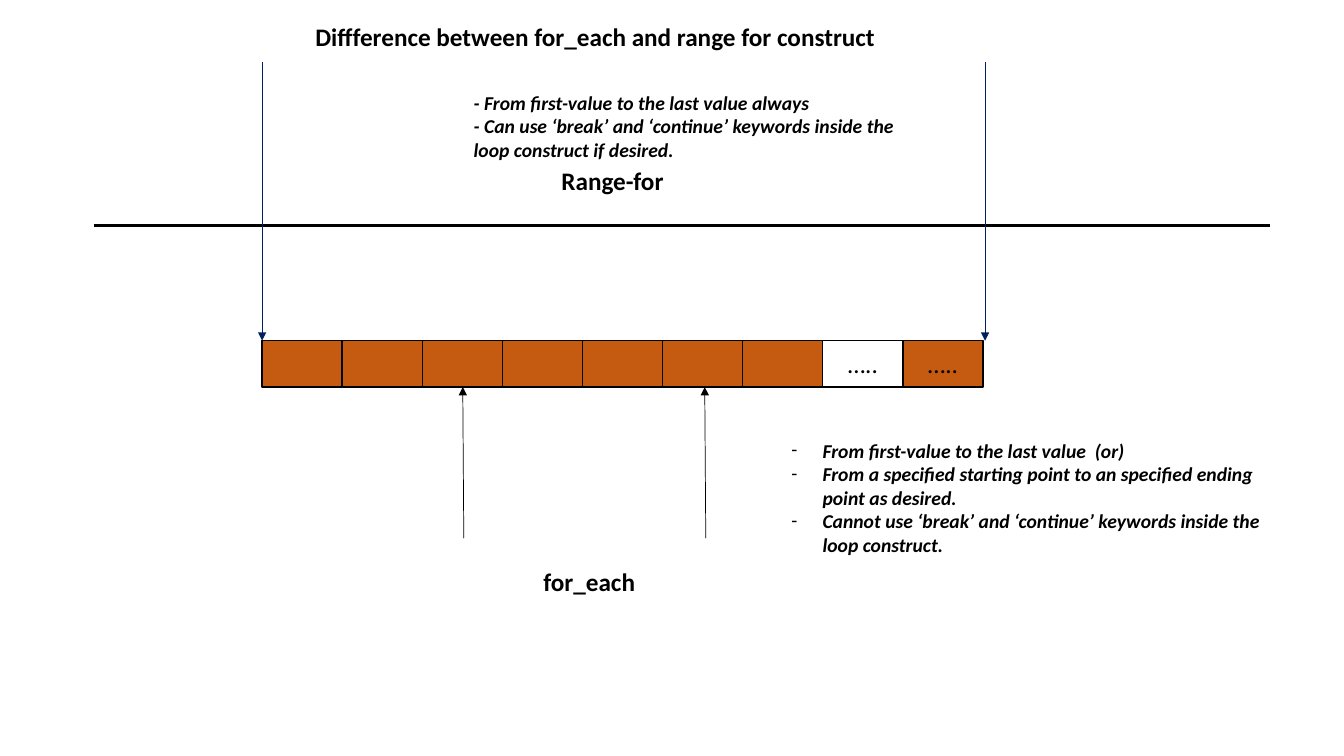
import pptx
import pptx.dml.color
import pptx.enum.shapes
import pptx.enum.text
import pptx.oxml.ns
import pptx.util
from collections import namedtuple
from dataclasses import dataclass
from lxml import etree

Box = namedtuple("Box", "x y w h")


@dataclass(frozen=True)
class Theme:
    font: str = "Calibri"
    ink: str = "000000"
    navy: str = "002060"
    orange: str = "C55A11"
    heading: int = 18
    note: int = 14
    rule: float = 2.25
    outline: float = 1
    arrow: float = 0.5


THEME = Theme()
HEADING = {"size": pptx.util.Pt(THEME.heading), "bold": True}
NOTE = {"size": pptx.util.Pt(THEME.note), "bold": True, "italic": True}
CELL = {"size": pptx.util.Pt(THEME.heading)}


def grid(n):
    return pptx.util.Inches(n * 0.1)


def rgb(value):
    return pptx.dml.color.RGBColor.from_string(value)


def sub(parent, tag, **attrs):
    return etree.SubElement(parent, pptx.oxml.ns.qn(tag), attrs)


def inside(box, x, y, w, h):
    return Box(box.x + x, box.y + y, w, h)


def write(p, text, style, align=None):
    p.alignment = align
    r = p.add_run()
    r.text = text
    for name, value in {"name": THEME.font, **style}.items():
        setattr(r.font, name, value)
    r.font.color.rgb = rgb(THEME.ink)


def add_text(s, box, lines, style, align=None, dashed=False):
    tf = s.shapes.add_textbox(*map(grid, box)).text_frame
    tf.word_wrap = True
    for i, line in enumerate(lines):
        p = tf.add_paragraph() if i else tf.paragraphs[0]
        if dashed:
            pPr = p._p.get_or_add_pPr()
            indent = pptx.util.Inches(0.31)
            pPr.set("marL", str(indent))
            pPr.set("indent", str(-indent))
            sub(pPr, "a:buFont", typeface=THEME.font)
            sub(pPr, "a:buChar", char="-")
        write(p, line, style, align)


def add_line(s, x1, y1, x2, y2, color, width, arrow=False):
    kind = pptx.enum.shapes.MSO_CONNECTOR.STRAIGHT
    sp = s.shapes.add_connector(kind, *map(grid, (x1, y1, x2, y2)))
    sp.line.color.rgb = rgb(color)
    sp.line.width = pptx.util.Pt(width)
    if arrow:
        sub(sp.line._get_or_add_ln(), "a:tailEnd", type="triangle")
    sub(sp._element.spPr, "a:effectLst")


def add_title(s, box):
    add_text(s, box, ["Diffference between for_each and range for construct"],
             HEADING, pptx.enum.text.PP_ALIGN.CENTER)


def add_array(s, box, cells):
    pitch = box.w / len(cells)
    for i, (text, color) in enumerate(cells):
        place = inside(box, i * pitch, 0, pitch, box.h)
        sp = s.shapes.add_shape(pptx.enum.shapes.MSO_SHAPE.RECTANGLE, *map(grid, place))
        sp.shadow.inherit = False
        if color:
            sp.fill.solid()
            sp.fill.fore_color.rgb = rgb(color)
        else:
            sp.fill.background()
        sp.line.color.rgb = rgb(THEME.ink)
        sp.line.width = pptx.util.Pt(THEME.outline)
        if text:
            tf = sp.text_frame
            tf.vertical_anchor = pptx.enum.text.MSO_ANCHOR.MIDDLE
            write(tf.paragraphs[0], text, CELL, pptx.enum.text.PP_ALIGN.CENTER)


def add_range_for(s, box):
    for x in (box.x, box.x + box.w):
        add_line(s, x, box.y, x, box.y + box.h, THEME.navy, THEME.arrow, arrow=True)
    add_text(s, inside(box, 20, 2.3, 43.7, 8.1), [
        "- From first-value to the last value always",
        "- Can use ‘break’ and ‘continue’ keywords inside the loop construct if desired.",
    ], NOTE)
    add_text(s, inside(box, 28.7, 9.7, 14.4, 4), ["Range-for"], HEADING)


def add_for_each(s, box):
    for x in (box.x, box.x + 24):
        add_line(s, x, box.y + 15, x - 0.1, box.y, THEME.ink, THEME.arrow, arrow=True)
    add_text(s, inside(box, 6.9, 17.3, 14.7, 4), ["for_each"], HEADING)
    add_text(s, inside(box, 31.5, 4.6, 51, 15.1), [
        "From first-value to the last value  (or)",
        "From a specified starting point to an specified ending point as desired.",
        "Cannot use ‘break’ and ‘continue’ keywords inside the loop construct.",
    ], NOTE, dashed=True)


def main():
    prs = pptx.Presentation()
    prs.slide_width = pptx.util.Inches(13.33)
    prs.slide_height = pptx.util.Inches(7.5)
    s = prs.slides.add_slide(prs.slide_layouts[6])
    add_line(s, 9.3, 22.4, 126, 22.4, THEME.ink, THEME.rule)
    cells = [("", THEME.orange)] * 7 + [("…..", None), ("…..", THEME.orange)]
    add_array(s, Box(26, 33.8, 71.5, 4.6), cells)
    add_range_for(s, Box(26, 6.2, 71.7, 27.6))
    add_for_each(s, Box(46, 38.4, 82.5, 21.3))
    add_title(s, Box(26.2, 1.6, 65.7, 4))
    prs.save("out.pptx")


if __name__ == "__main__":
    main()
